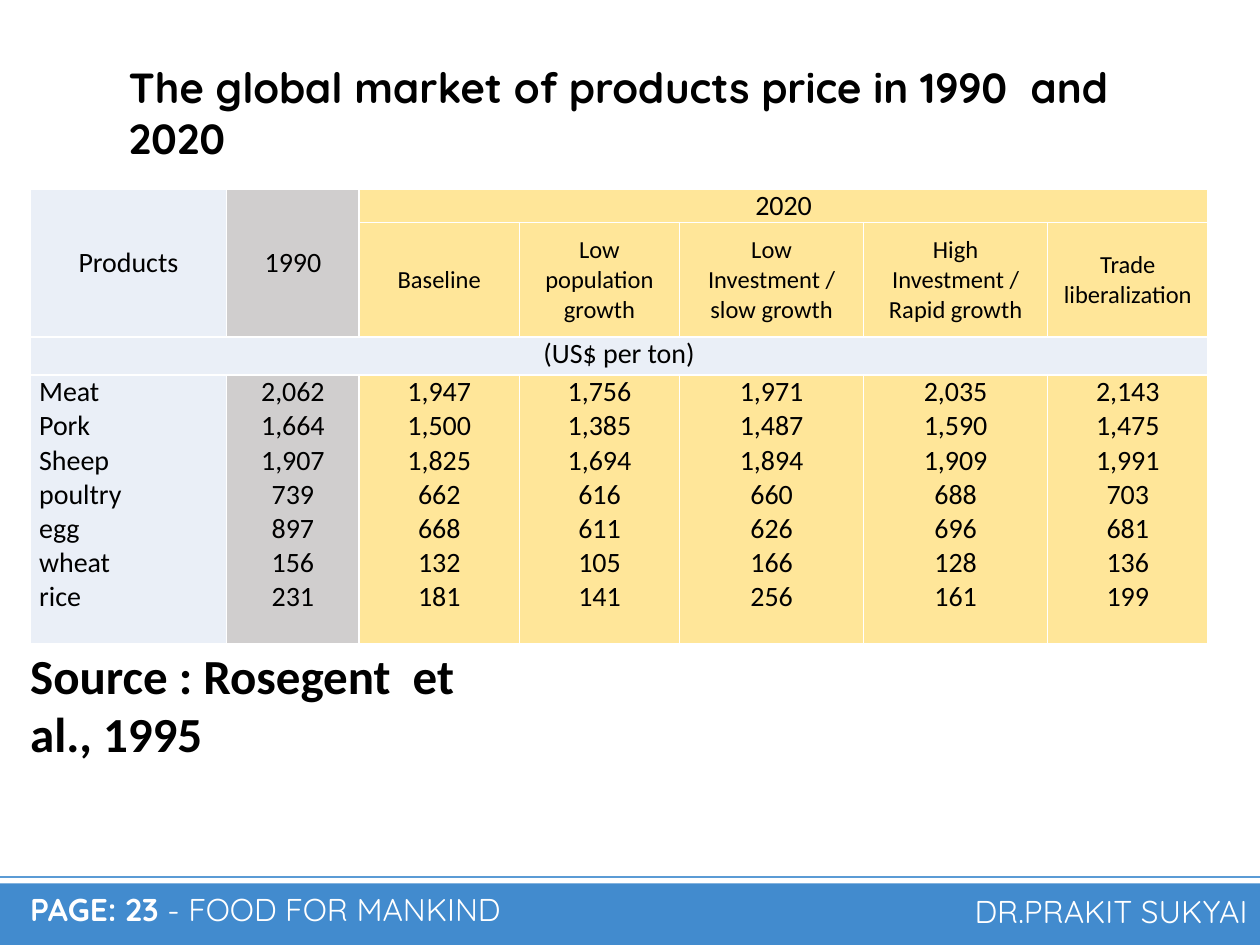
from lxml.etree import SubElement
from pptx import Presentation
from pptx.dml.color import RGBColor
from pptx.enum.shapes import MSO_CONNECTOR, MSO_SHAPE
from pptx.enum.text import MSO_ANCHOR, MSO_AUTO_SIZE, PP_ALIGN
from pptx.oxml.ns import qn
from pptx.util import Cm, Pt

COLORS = {
    "black": "000000",
    "white": "FFFFFF",
    "bar": "428BCE",
    "rule": "5B9BD5",
    "label": "EAEFF7",
    "year_1990": "D0CECE",
    "year_2020": "FFE699",
}
COLUMN_WIDTHS = [3.96, 2.67, 3.23, 3.23, 3.71, 3.71, 3.23]
ROW_HEIGHTS = [0.66, 2.31, 0.76, 5.41]
COLUMN_FILLS = ["label", "year_1990"] + ["year_2020"] * 5
SCENARIOS = [
    ["Baseline"],
    ["Low", "population", "growth"],
    ["Low", "Investment /", "slow growth"],
    ["High", "Investment /", "Rapid growth"],
    ["Trade", "liberalization"],
]
PRICES = [
    ("Meat", "2,062", "1,947", "1,756", "1,971", "2,035", "2,143"),
    ("Pork", "1,664", "1,500", "1,385", "1,487", "1,590", "1,475"),
    ("Sheep", "1,907", "1,825", "1,694", "1,894", "1,909", "1,991"),
    ("poultry", "739", "662", "616", "660", "688", "703"),
    ("egg", "897", "668", "611", "626", "696", "681"),
    ("wheat", "156", "132", "105", "166", "128", "136"),
    ("rice", "231", "181", "141", "256", "161", "199"),
]


def color(name):
    return RGBColor.from_string(COLORS[name])


def set_font(font, name, size, color_name, bold=False):
    font.name = name
    font.size = Pt(size)
    font.bold = bold
    font.color.rgb = color(color_name)


def place(shape, left, top, width, height):
    shape.left, shape.top = Cm(left), Cm(top)
    shape.width, shape.height = Cm(width), Cm(height)


def add_title(page, text):
    title = page.shapes.title
    place(title, 2.34, 1.12, 21.29, 1.27)
    frame = title.text_frame
    frame.text = text
    frame.word_wrap = True
    frame.auto_size = MSO_AUTO_SIZE.NONE
    frame.vertical_anchor = MSO_ANCHOR.TOP
    para = frame.paragraphs[0]
    para.alignment = PP_ALIGN.LEFT
    set_font(para.font, "Quicksand", 24, "black", bold=True)


def add_text(page, left, top, width, height, text):
    box = page.shapes.add_textbox(Cm(left), Cm(top), Cm(width), Cm(height))
    box.text_frame.word_wrap = True
    para = box.text_frame.paragraphs[0]
    para.add_run().text = text
    return box, para


def add_footer(page):
    # Bar and the thin rule above it
    bar = page.shapes.add_shape(MSO_SHAPE.RECTANGLE, 0, Cm(17.81), Cm(25.4), Cm(1.24))
    bar.shadow.inherit = False
    bar.fill.solid()
    bar.fill.fore_color.rgb = color("bar")
    bar.line.fill.background()
    rule = page.shapes.add_connector(
        MSO_CONNECTOR.STRAIGHT, 0, Cm(17.68), Cm(25.4), Cm(17.68))
    rule.line.color.rgb = color("rule")
    rule.line.width = Pt(1.5)
    SubElement(rule.element.spPr, qn("a:effectLst"))

    # Page number with course name, and lecturer
    _, course = add_text(page, 0.36, 17.96, 13.61, 0.91, "PAGE: 23 ")
    course.add_run().text = "- FOOD FOR MANKIND"
    lecturer_box, lecturer = add_text(page, 17.22, 17.96, 8.18, 0.91, "DR.PRAKIT SUKYAI")
    lecturer_box.text_frame.vertical_anchor = MSO_ANCHOR.BOTTOM
    lecturer.alignment = PP_ALIGN.RIGHT
    for para in (course, lecturer):
        para.line_spacing = 0.8
        set_font(para.font, "Quicksand", 18, "white")
    course.runs[0].font.bold = True


def add_borders(cell):
    properties = cell._tc.get_or_add_tcPr()
    for side in ("lnL", "lnR", "lnT", "lnB"):
        line = SubElement(properties, qn(f"a:{side}"), w=str(Pt(1)))
        fill = SubElement(line, qn("a:solidFill"))
        SubElement(fill, qn("a:srgbClr"), val=COLORS["white"])


def fill_cell(cell, lines, size=16, align=PP_ALIGN.CENTER, anchor=MSO_ANCHOR.TOP):
    cell.text = "\n".join(lines)
    cell.vertical_anchor = anchor
    for para in cell.text_frame.paragraphs:
        para.alignment = align
        set_font(para.font, "Calibri", size, "black")


def add_price_table(page):
    table = page.shapes.add_table(
        len(ROW_HEIGHTS), len(COLUMN_WIDTHS), Cm(0.61), Cm(3.81),
        Cm(sum(COLUMN_WIDTHS)), Cm(sum(ROW_HEIGHTS))).table
    table.first_row = table.horz_banding = False
    for column, width in zip(table.columns, COLUMN_WIDTHS):
        column.width = Cm(width)

    # Margins, borders and fills
    for row_index, (row, height) in enumerate(zip(table.rows, ROW_HEIGHTS)):
        row.height = Cm(height)
        for cell, fill_name in zip(row.cells, COLUMN_FILLS):
            cell.margin_left = cell.margin_right = Cm(0.18)
            cell.margin_top = cell.margin_bottom = 0
            add_borders(cell)
            cell.fill.solid()
            cell.fill.fore_color.rgb = color("label" if row_index == 2 else fill_name)
            set_font(cell.text_frame.paragraphs[0].font, "Calibri", 10, "black")

    # Headings
    for start, end in (((0, 0), (1, 0)), ((0, 1), (1, 1)), ((0, 2), (0, 6)), ((2, 0), (2, 6))):
        table.cell(*start).merge(table.cell(*end))
    for index, heading in enumerate(("Products", "1990", "2020")):
        fill_cell(table.cell(0, index), [heading], anchor=MSO_ANCHOR.MIDDLE)
    for index, lines in enumerate(SCENARIOS, start=2):
        fill_cell(table.cell(1, index), lines, size=14, anchor=MSO_ANCHOR.MIDDLE)
    fill_cell(table.cell(2, 0), ["(US$ per ton)"])

    # Each body cell lists one column of prices
    for index, values in enumerate(zip(*PRICES)):
        align = PP_ALIGN.CENTER if index else PP_ALIGN.LEFT
        fill_cell(table.cell(3, index), values, align=align)


def main():
    deck = Presentation()
    deck.slide_width, deck.slide_height = Cm(25.4), Cm(19.05)
    page = deck.slides.add_slide(deck.slide_layouts[5])

    add_title(page, "The global market of products price in 1990  and 2020")
    _, source = add_text(page, 0.36, 12.88, 9.07, 1.45, "Source : Rosegent  et al., 1995")
    set_font(source.font, "Calibri", 28, "black", bold=True)
    add_footer(page)
    add_price_table(page)

    deck.save("out.pptx")


if __name__ == "__main__":
    main()
